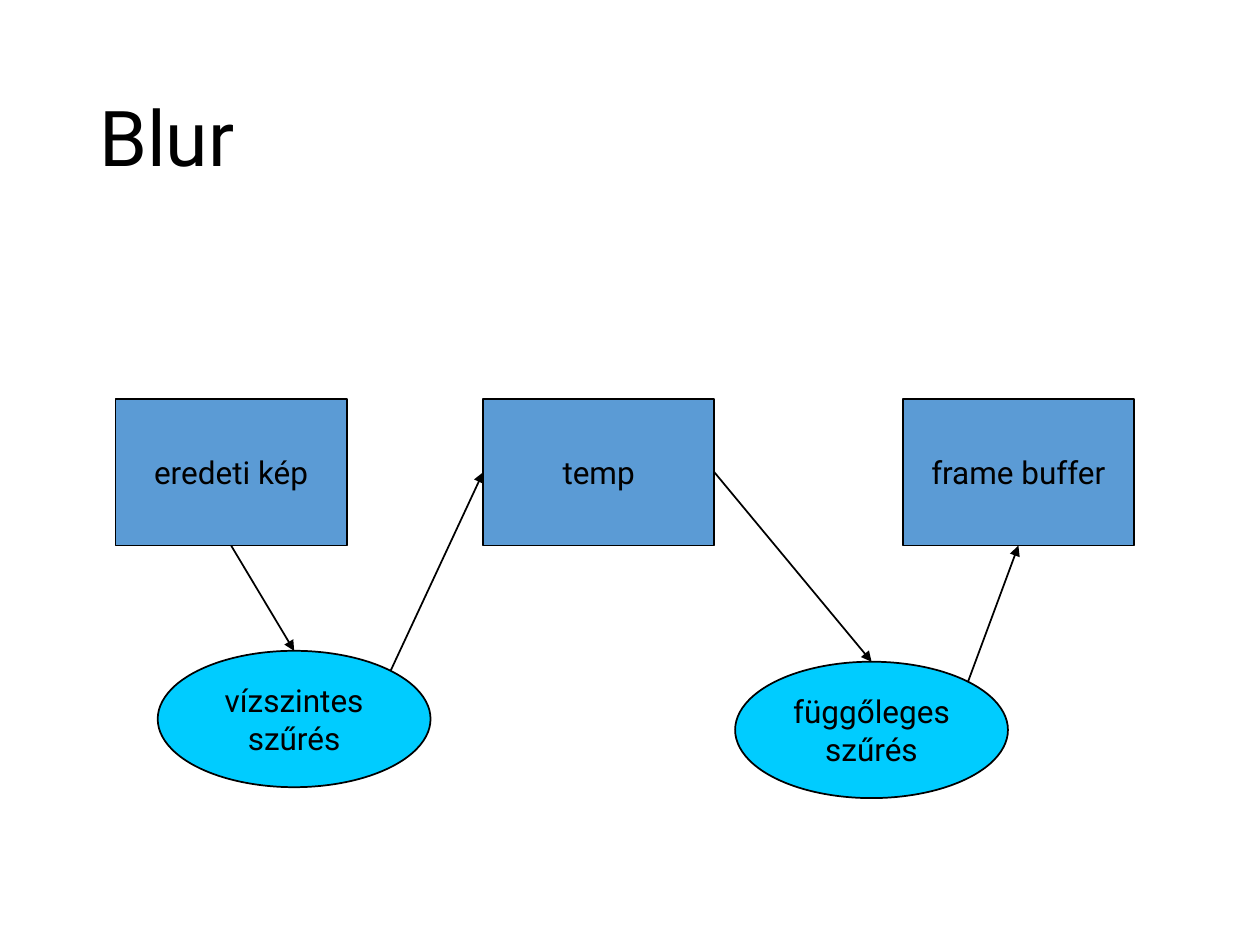
from math import sqrt

from lxml import etree
from pptx import Presentation
from pptx.dml.color import RGBColor
from pptx.enum import shapes, text
from pptx.oxml import ns
from pptx.util import Cm, Pt

BLACK = "000000"
BLUE = "5B9BD5"
CYAN = "00CCFF"


def color(hex_string):
    return RGBColor.from_string(hex_string)


def format_text(text_frame, size, alignment):
    text_frame.vertical_anchor = text.MSO_ANCHOR.MIDDLE
    for paragraph in text_frame.paragraphs:
        paragraph.alignment = alignment
        for run in paragraph.runs:
            run.font.name = "Roboto"
            run.font.size = Pt(size)
            run.font.color.rgb = color(BLACK)


presentation = Presentation()
presentation.slide_width = Cm(25.4)
presentation.slide_height = Cm(19.05)
slide = presentation.slides.add_slide(presentation.slide_layouts[6])

title = slide.shapes.add_textbox(Cm(1.75), Cm(1.01), Cm(21.9), Cm(3.68))
title.text_frame.word_wrap = True
title.text_frame.text = "Blur"
format_text(title.text_frame, 44, text.PP_ALIGN.LEFT)
title.text_frame.paragraphs[0].line_spacing = 0.9

# Buffers are rectangles in one row, filter passes are ellipses below them
rectangle, ellipse = shapes.MSO_SHAPE.RECTANGLE, shapes.MSO_SHAPE.OVAL
nodes = []
for label, kind, fill, left, top, width, height in [
    ("eredeti kép", rectangle, BLUE, 2.33, 8.04, 4.66, 2.96),
    ("temp", rectangle, BLUE, 9.74, 8.04, 4.66, 2.96),
    ("frame buffer", rectangle, BLUE, 18.2, 8.04, 4.66, 2.96),
    ("vízszintes\nszűrés", ellipse, CYAN, 3.18, 13.12, 5.5, 2.75),
    ("függőleges\nszűrés", ellipse, CYAN, 14.82, 13.34, 5.5, 2.75),
]:
    shape = slide.shapes.add_shape(kind, Cm(left), Cm(top), Cm(width), Cm(height))
    shape.shadow.inherit = False
    shape.fill.solid()
    shape.fill.fore_color.rgb = color(fill)
    shape.line.color.rgb = color(BLACK)
    shape.line.width = Pt(1)
    shape.text_frame.word_wrap = False
    shape.text_frame.text = label
    format_text(shape.text_frame, 18, text.PP_ALIGN.CENTER)
    nodes.append(shape)
source_image, temp, frame_buffer, horizontal_pass, vertical_pass = nodes

# Connection sites: 0 top, 1 left, 2 bottom, 3 right; None is an ellipse's upper right
for start, start_site, end, end_site in [
    (source_image, 2, horizontal_pass, 0),
    (horizontal_pass, None, temp, 1),
    (temp, 3, vertical_pass, 0),
    (vertical_pass, None, frame_buffer, 2),
]:
    diagonal_x = start.left + int(start.width / 2 * (1 + 1 / sqrt(2)))
    diagonal_y = start.top + int(start.height / 2 * (1 - 1 / sqrt(2)))
    arrow = slide.shapes.add_connector(
        shapes.MSO_CONNECTOR.STRAIGHT, diagonal_x, diagonal_y, end.left, end.top
    )
    if start_site is not None:
        arrow.begin_connect(start, start_site)
    arrow.end_connect(end, end_site)
    arrow.line.color.rgb = color(BLACK)
    arrow.line.width = Pt(1)
    etree.SubElement(arrow.line._get_or_add_ln(), ns.qn("a:tailEnd"), type="triangle")
    etree.SubElement(arrow._element.spPr, ns.qn("a:effectLst"))

presentation.save("out.pptx")
